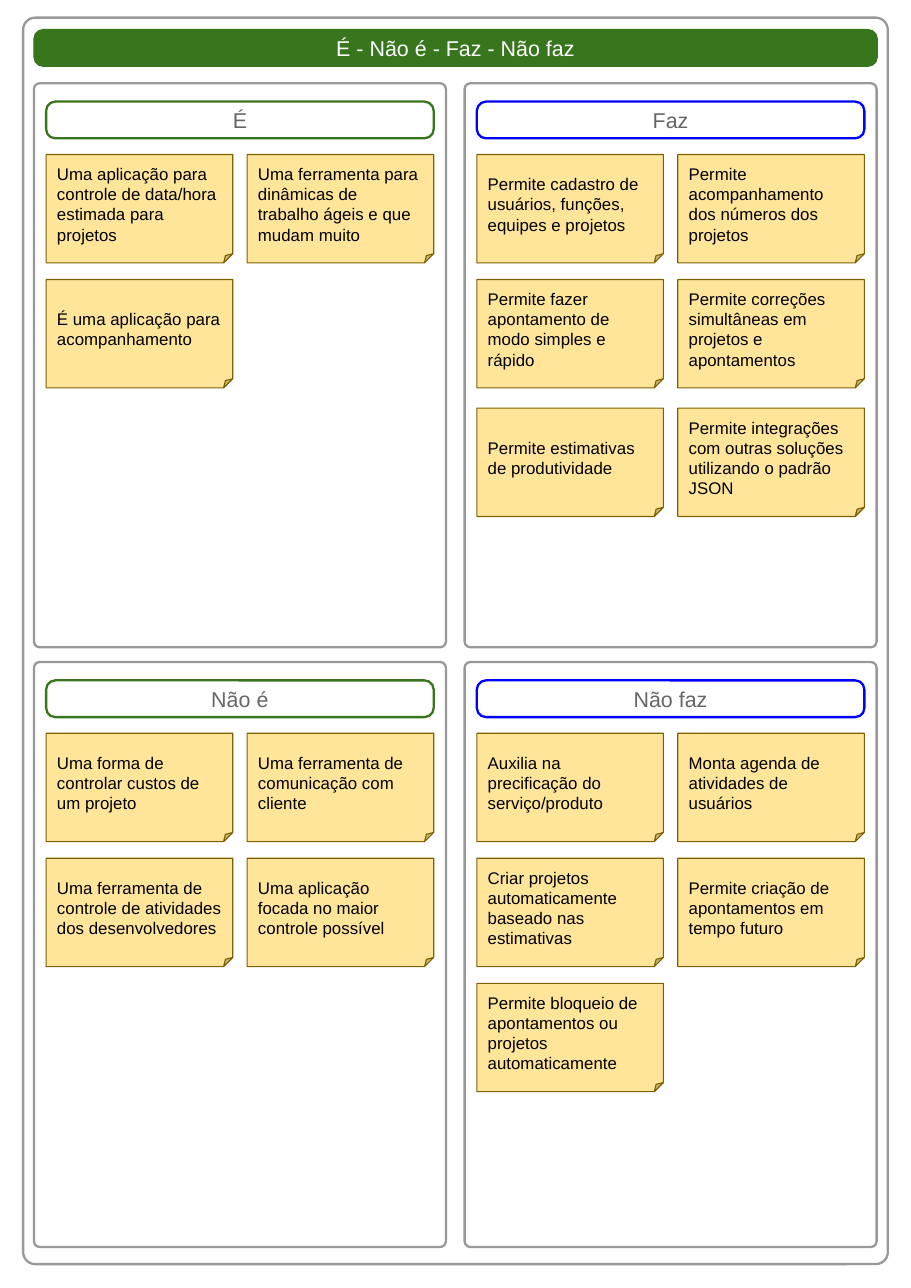
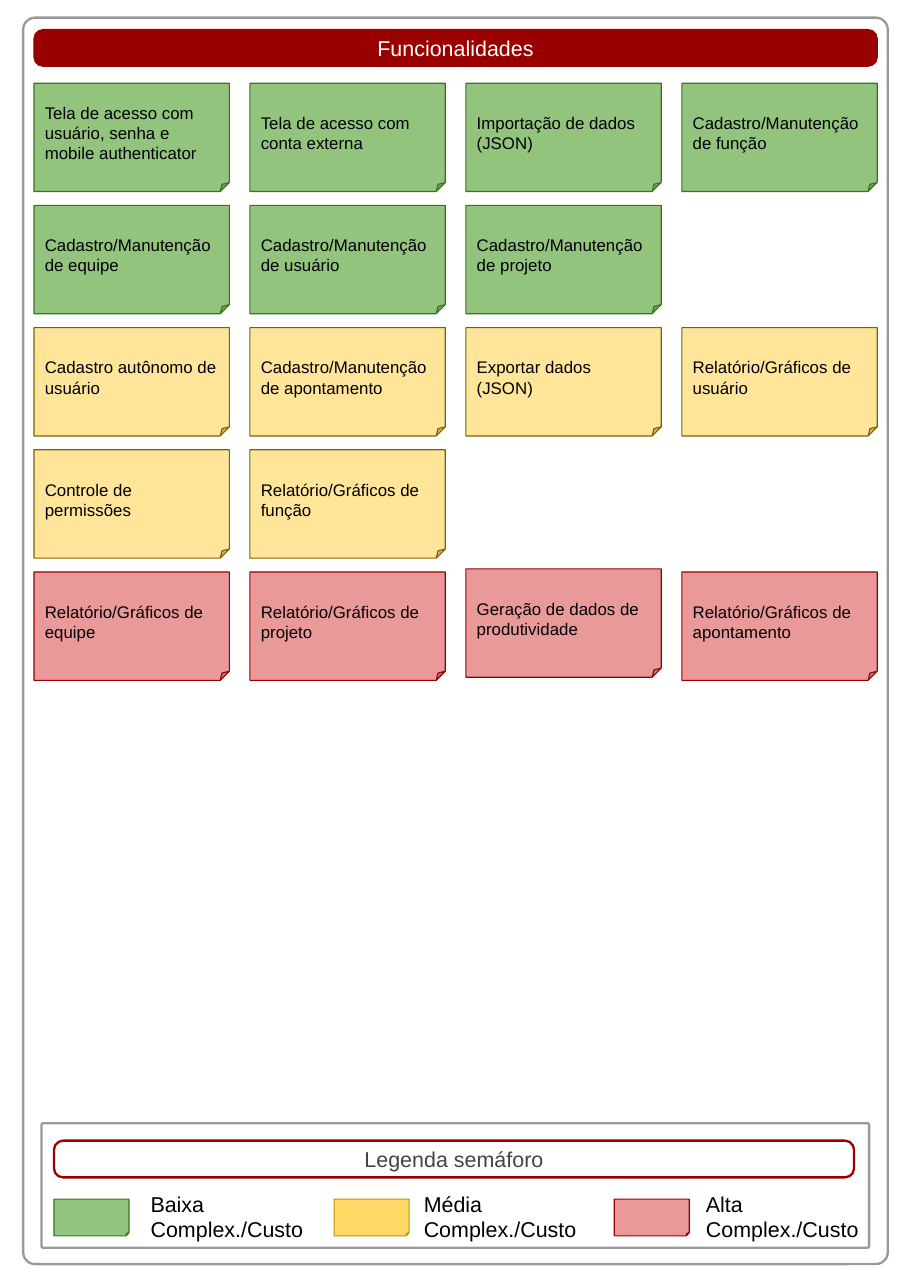
from lxml import etree
from pptx import Presentation
from pptx.dml.color import RGBColor
from pptx.enum import shapes, text
from pptx.oxml import ns
from pptx.util import Pt

COLORS = {
    "gray": "999999", "heading": "666666", "legend": "434343",
    "white": "FFFFFF", "black": "000000",
    "green": "38761D", "blue": "0000FF", "red": "990000",
    "light_green": "93C47D", "light_yellow": "FFE599", "brown": "7F6000",
    "yellow": "FFD966", "gold": "BF9000", "light_red": "EA9999",
}
TONES = {
    "low": ("light_green", "green"),
    "medium": ("light_yellow", "brown"),
    "medium_key": ("yellow", "gold"),
    "high": ("light_red", "red"),
}
FONT = "Arial"
FRAME = (15.1, 11.5, 565.2, 814.6)
BAR = (22.2, 19.3, 551.2, 24)
CONTENT_LEFT, CONTENT_TOP = 22.2, 54.4
HEADING_HEIGHT, NOTE_HEIGHT = 24, 70.8
PANEL_WIDTH, PANEL_PITCH, PANEL_PADDING = 269.3, 281.5, 8

QUADRANTS = [
    ("É", "green", 0, 54.4, 368.6, [
        "Uma aplicação para controle de data/hora estimada para projetos",
        "Uma ferramenta para dinâmicas de trabalho ágeis e que mudam muito",
        "É uma aplicação para acompanhamento",
    ], {}),
    ("Faz", "blue", 1, 54.4, 368.6, [
        "Permite cadastro de usuários, funções, equipes e projetos",
        "Permite acompanhamento dos números dos projetos",
        "Permite fazer apontamento de modo simples e rápido",
        "Permite correções simultâneas em projetos e apontamentos",
        "Permite estimativas de produtividade",
        "Permite integrações com outras soluções utilizando o padrão JSON",
    ], {4: 2.3, 5: 2.3}),
    ("Não é", "green", 0, 432.6, 382.3, [
        "Uma forma de controlar custos de um projeto",
        "Uma ferramenta de comunicação com cliente",
        "Uma ferramenta de controle de atividades dos desenvolvedores",
        "Uma aplicação focada no maior controle possível",
    ], {}),
    ("Não faz", "blue", 1, 432.6, 382.3, [
        "Auxilia na precificação do serviço/produto",
        "Monta agenda de atividades de usuários",
        "Criar projetos automaticamente baseado nas estimativas",
        "Permite criação de apontamentos em tempo futuro",
        "Permite bloqueio de apontamentos ou projetos automaticamente",
    ], {}),
]
FEATURES = [
    ("low", ["Tela de acesso com usuário, senha e mobile authenticator",
             "Tela de acesso com conta externa",
             "Importação de dados (JSON)",
             "Cadastro/Manutenção de função"]),
    ("low", ["Cadastro/Manutenção de equipe",
             "Cadastro/Manutenção de usuário",
             "Cadastro/Manutenção de projeto"]),
    ("medium", ["Cadastro autônomo de usuário",
                "Cadastro/Manutenção de apontamento",
                "Exportar dados (JSON)",
                "Relatório/Gráficos de usuário"]),
    ("medium", ["Controle de permissões",
                "Relatório/Gráficos de função"]),
    ("high", ["Relatório/Gráficos de equipe",
              "Relatório/Gráficos de projeto",
              "Geração de dados de produtividade",
              "Relatório/Gráficos de apontamento"]),
]
FEATURE_SHIFTS = {(4, 2): -2}
LEGEND = [("low", "Baixa", 64.2, 123.8),
          ("medium_key", "Média", 242.8, 115.9),
          ("high", "Alta", 427.2, 115.9)]


def color(name):
    """Return the named palette colour."""
    return RGBColor.from_string(COLORS[name])


def write(shape, wording, size, font_color, centered=False, middle=True):
    """Put formatted wording into a shape."""
    frame = shape.text_frame
    frame.text = wording
    frame.word_wrap = True
    frame.auto_size = text.MSO_AUTO_SIZE.NONE
    frame.vertical_anchor = text.MSO_ANCHOR.MIDDLE if middle else text.MSO_ANCHOR.TOP
    frame.margin_left = frame.margin_right = Pt(7.2)
    frame.margin_top = frame.margin_bottom = Pt(7.2)
    for paragraph in frame.paragraphs:
        paragraph.alignment = text.PP_ALIGN.CENTER if centered else text.PP_ALIGN.LEFT
        for run in paragraph.runs:
            run.font.name = FONT
            run.font.size = Pt(size)
            run.font.color.rgb = color(font_color)


def add_outline(slide, kind, box, line, width, fill=None):
    """Add a preset shape with a flat fill and line."""
    shape = slide.shapes.add_shape(kind, *map(Pt, box))
    shape.shadow.inherit = False
    shape.line.color.rgb = color(line)
    shape.line.width = Pt(width)
    if fill:
        shape.fill.solid()
        shape.fill.fore_color.rgb = color(fill)
    else:
        shape.fill.background()
    return shape


def add_rounded(slide, box, corner, line, width=1.5, fill=None):
    """Add a rounded rectangle."""
    kind = shapes.MSO_SHAPE.ROUNDED_RECTANGLE
    shape = add_outline(slide, kind, box, line, width, fill)
    shape.adjustments[0] = corner
    return shape


def add_heading(slide, box, wording, line, font_color):
    """Add an outlined heading pill."""
    write(add_rounded(slide, box, 0.25, line), wording, 14, font_color, centered=True)


def add_note(slide, box, tone, wording=""):
    """Add a sticky note in the given tone."""
    fill, line = TONES[tone]
    note = add_outline(slide, shapes.MSO_SHAPE.FOLDED_CORNER, box, line, 0.75, fill)
    guides = next(note._element.iter(ns.qn("a:avLst")))
    etree.SubElement(guides, ns.qn("a:gd"), name="adj", fmla="val 8400")
    if wording:
        write(note, wording, 11, "black")


def add_page(presentation, wording, bar_color):
    """Add a framed slide with its title bar."""
    slide = presentation.slides.add_slide(presentation.slide_layouts[5])
    add_rounded(slide, FRAME, 0.014, "gray")
    add_rounded(slide, BAR, 0.25, bar_color, 0.75, bar_color)
    title = slide.shapes.title
    title.left, title.top, title.width, title.height = map(Pt, BAR)
    write(title, wording, 14, "white", centered=True)
    title._element.getparent().append(title._element)
    return slide


def add_quadrant(slide, box, heading, line, notes, shifts):
    """Add a panel with a heading and two columns of notes."""
    left, top, width, height = box
    add_rounded(slide, box, 0.014, "gray")
    left, width = left + PANEL_PADDING, width - 2 * PANEL_PADDING
    add_heading(slide, (left, top + 12, width, HEADING_HEIGHT), heading, line, "heading")
    gap = 9.4
    note_width = (width - gap) / 2
    for index, wording in enumerate(notes):
        row, column = divmod(index, 2)
        note_top = top + 46.6 + row * 81.7 + shifts.get(index, 0)
        add_note(slide, (left + column * (note_width + gap), note_top,
                         note_width, NOTE_HEIGHT), "medium", wording)


def add_features(slide, left, top):
    """Add the rows of feature notes."""
    for row, (tone, wordings) in enumerate(FEATURES):
        for column, wording in enumerate(wordings):
            note_top = top + row * 79.85 + FEATURE_SHIFTS.get((row, column), 0)
            add_note(slide, (left + column * 141.15, note_top, 127.7, NOTE_HEIGHT),
                     tone, wording)


def add_legend(slide, box):
    """Add the key to the note colours."""
    left, top, width, height = box
    add_rounded(slide, box, 0.014, "gray")
    add_heading(slide, (left + 8.2, top + 11.4, width - 18, HEADING_HEIGHT),
                "Legenda semáforo", "red", "legend")
    for index, (tone, level, offset, label_width) in enumerate(LEGEND):
        add_note(slide, (left + 8.2 + index * 183.1, top + 49.6, 49, HEADING_HEIGHT), tone)
        label = slide.shapes.add_textbox(Pt(left + offset), Pt(top + 37),
                                         Pt(label_width), Pt(48.2))
        write(label, f"{level}\vComplex./Custo", 14, "black", middle=False)


def build():
    """Build and save both slides."""
    presentation = Presentation()
    presentation.slide_width, presentation.slide_height = Pt(595.44), Pt(841.68)
    slide = add_page(presentation, "É - Não é - Faz - Não faz", "green")
    for heading, line, column, top, height, notes, shifts in QUADRANTS:
        box = (CONTENT_LEFT + column * PANEL_PITCH, top, PANEL_WIDTH, height)
        add_quadrant(slide, box, heading, line, notes, shifts)
    slide = add_page(presentation, "Funcionalidades", "red")
    add_features(slide, CONTENT_LEFT, CONTENT_TOP)
    add_legend(slide, (27.1, 734, 541, 81.4))
    presentation.save("out.pptx")


build()
